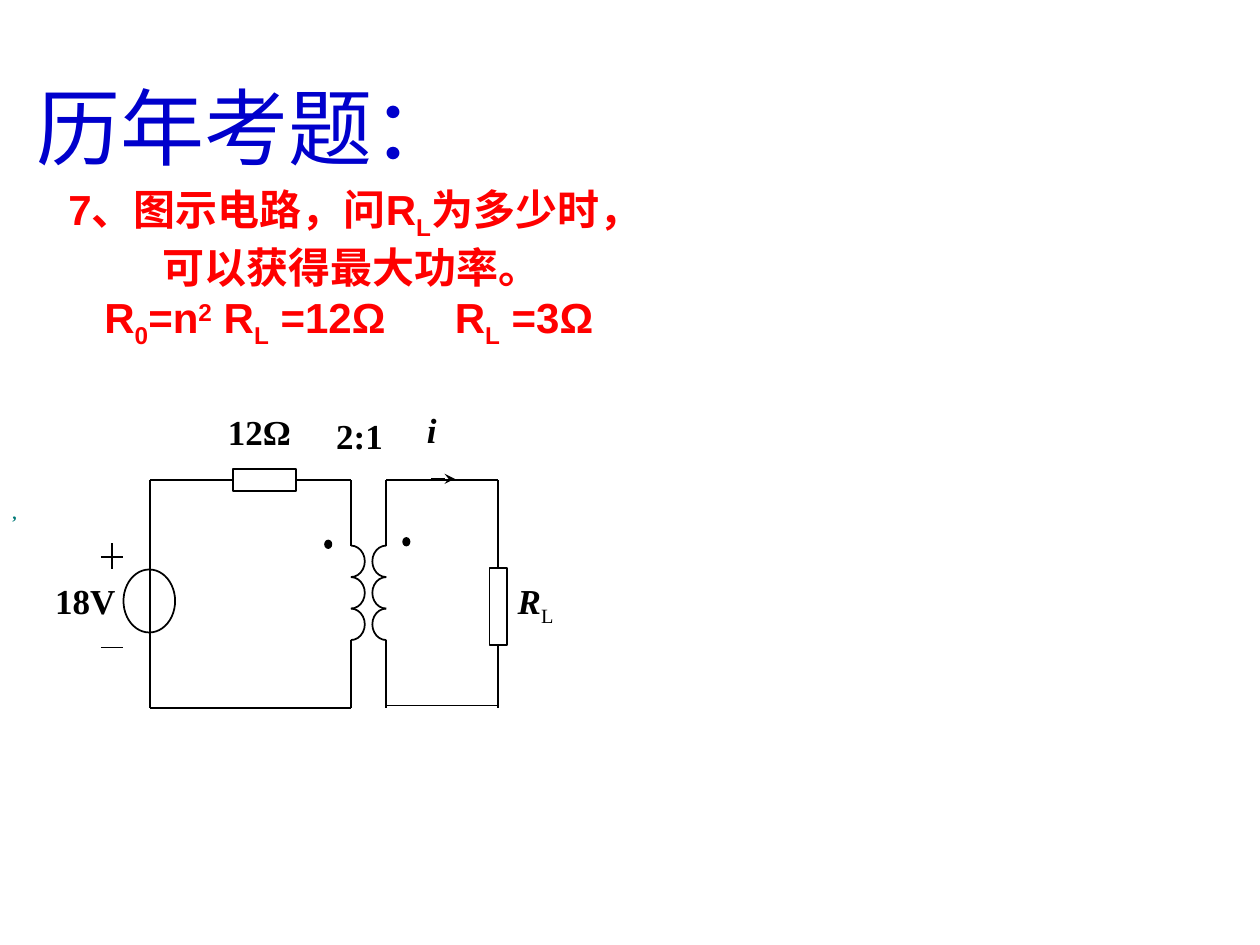
import lxml.etree
import pptx
import pptx.dml.color
import pptx.enum.shapes
import pptx.enum.text
import pptx.oxml.ns
import pptx.util

COLORS = {"title": "0000CC", "question": "FF0000", "ink": "000000", "mark": "007A77"}
COLUMNS, ROWS = 100, 75
SHAPE = pptx.enum.shapes.MSO_SHAPE
ALIGN = pptx.enum.text.PP_ALIGN
ANCHOR = pptx.enum.text.MSO_ANCHOR

prs = pptx.Presentation()
prs.slide_width = pptx.util.Inches(10)
prs.slide_height = pptx.util.Inches(7.5)
COLUMN, ROW = prs.slide_width / COLUMNS, prs.slide_height / ROWS


def rgb(name):
    """Return the named colour."""
    return pptx.dml.color.RGBColor.from_string(COLORS[name])


def place(box, x, y, w=0, h=0):
    """Turn grid offsets from a box into lengths on the slide."""
    return [round(v) for v in ((box[0] + x) * COLUMN, (box[1] + y) * ROW, w * COLUMN, h * ROW)]


def add_text(s, area, paragraphs, align=ALIGN.LEFT, anchor=ANCHOR.TOP, wrap=True, **base):
    """Add a text box whose paragraphs are lists of (text, format) runs."""
    tf = s.shapes.add_textbox(*area).text_frame
    tf.word_wrap, tf.vertical_anchor = wrap, anchor
    for i, runs in enumerate(paragraphs):
        p = tf.paragraphs[0] if i == 0 else tf.add_paragraph()
        p.alignment = align
        p._p.get_or_add_pPr().set("hangingPunct", "0")
        for content, changes in runs:
            fmt = {**base, **changes}
            r = p.add_run()
            r.text = content
            r.font.name, r.font.size = fmt["font"], pptx.util.Pt(fmt["size"])
            r.font.bold, r.font.italic = fmt.get("bold", False), fmt.get("italic", False)
            r.font.color.rgb = rgb(fmt["color"])
            for key in ("baseline", "spc"):
                if key in fmt:
                    r.font._element.set(key, str(fmt[key]))


def add_part(s, kind, area, filled=False):
    """Add an outlined circuit part."""
    sp = s.shapes.add_shape(kind, *area)
    sp.shadow.inherit = False
    if filled:
        sp.fill.solid()
        sp.fill.fore_color.rgb = rgb("ink")
    else:
        sp.fill.background()
    sp.line.color.rgb = rgb("ink")
    sp.line.width = pptx.util.Pt(1)
    return sp


def add_wire(s, box, start, end, begin=None, finish=None, width=1, arrow=False):
    """Draw a straight wire, joined to (shape, side) pairs where given."""
    x1, y1 = place(box, *start)[:2]
    x2, y2 = place(box, *end)[:2]
    wire = s.shapes.add_connector(pptx.enum.shapes.MSO_CONNECTOR.STRAIGHT, x1, y1, x2, y2)
    wire.line.color.rgb = rgb("ink")
    wire.line.width = pptx.util.Pt(width)
    if arrow:
        tail = lxml.etree.SubElement(wire.line._get_or_add_ln(), pptx.oxml.ns.qn("a:tailEnd"))
        tail.set("type", "stealth")
    lxml.etree.SubElement(wire._element.spPr, pptx.oxml.ns.qn("a:effectLst"))
    if begin:
        wire.begin_connect(*begin)
    if finish:
        wire.end_connect(*finish)


def draw_heading(s, box):
    """Write the slide heading."""
    add_text(s, place(box, 0, 0, *box[2:]), [[("历年考题：", {})]],
             font="Times New Roman", size=48, color="title")


def draw_question(s, box):
    """Write the question and its answer."""
    low, high = {"baseline": -25000}, {"baseline": 30000}
    add_text(s, place(box, 0, 0, *box[2:]), [
        [("7、图示电路，问R", {}), ("L", low), ("为多少时，", {})],
        [("可以获得最大功率。", {}), (" ", {"size": 18})],
        [("R", {}), ("0", low), ("=n", {}), ("2", high), (" R", {}), ("L", low),
         (" =12Ω", {}), (" ", {"spc": 3300}), ("R", {}), ("L", low), (" =3Ω ", {})],
    ], align=ALIGN.CENTER, anchor=ANCHOR.MIDDLE, font="Arial", size=24, bold=True, color="question")


def draw_coil(s, box, x, top, turn, angles):
    """Stack three half-turns of a winding along a vertical axis."""
    for i in range(3):
        arc = add_part(s, SHAPE.ARC, place(box, x - 1.1, top + i * turn, 2.2, turn))
        arc.adjustments[0], arc.adjustments[1] = angles


def draw_circuit(s, box):
    """Draw the source, transformer and load on the rails of the box."""
    right, bottom = box[2:]
    primary, secondary = 15.95, 18.75
    coil_top, turn = 5.2, 2.5
    coil_end = coil_top + 3 * turn
    up, down = 162, 54

    series = add_part(s, SHAPE.RECTANGLE, place(box, 6.6, -0.85, 5, 1.7))
    load = add_part(s, SHAPE.RECTANGLE, place(box, right - 0.7, 7, 1.4, 6.1))
    add_part(s, SHAPE.OVAL, place(box, -2.1, 7.1, 4.1, 5))
    for x, y in ((20.1, 4.6), (13.9, 4.8)):
        add_part(s, SHAPE.FLOWCHART_CONNECTOR, place(box, x, y, 0.5, 0.6), filled=True)

    for x, angles in ((primary, (up, down)), (secondary, (down, up))):
        draw_coil(s, box, x, coil_top, turn, angles)
        add_wire(s, box, (x, 0), (x, coil_top))
        add_wire(s, box, (x, coil_end), (x, bottom))

    add_wire(s, box, (0, 0), (6.6, 0), finish=(series, 1))
    add_wire(s, box, (11.6, 0), (primary, 0), begin=(series, 3))
    add_wire(s, box, (right, 0), (right, 7), finish=(load, 0))
    add_wire(s, box, (right, 13.1), (right, bottom), begin=(load, 2))
    for start, end in (
        ((0, 0), (0, bottom)),
        ((0, bottom), (primary, bottom)),
        ((secondary, 0), (right, 0)),
        ((secondary, bottom - 0.2), (right, bottom - 0.2)),
        ((-3.9, 6.1), (-2.1, 6.1)),
        ((-3, 5), (-3, 7.1)),
        ((-3.9, 13.3), (-2.1, 13.3)),
    ):
        add_wire(s, box, start, end)
    add_wire(s, box, (22.3, -0.1), (24.2, -0.1), width=0.75, arrow=True)

    for x, y, runs in (
        (21, -6.2, [("i", {"italic": True})]),
        (13.8, -5.7, [("2:1", {})]),
        (5.2, -6, [("12Ω", {})]),
        (28.2, 7.4, [("R", {"italic": True}), ("L", {"bold": False, "baseline": -25000})]),
        (-8.5, 7.4, [("18V", {})]),
    ):
        add_text(s, place(box, x, y, 8.3, 6.4), [runs],
                 font="Times New Roman", size=20, bold=True, color="ink")


def draw_mark(s, box):
    """Write the small comma at the slide's edge."""
    add_text(s, place(box, 0, 0, *box[2:]), [[(",", {})]], anchor=ANCHOR.MIDDLE, wrap=False,
             font="Times New Roman", size=10, bold=True, color="mark")


def main():
    """Build and save the slide."""
    s = prs.slides.add_slide(prs.slide_layouts[6])
    draw_heading(s, (1.9, 5.5, 89.9, 9))
    draw_question(s, (3.7, 14.1, 48.9, 14.1))
    draw_circuit(s, (11.9, 38.1, 27.65, 18.1))
    draw_mark(s, (0, 39.3, 3.4, 2.7))
    prs.save("out.pptx")


if __name__ == "__main__":
    main()
